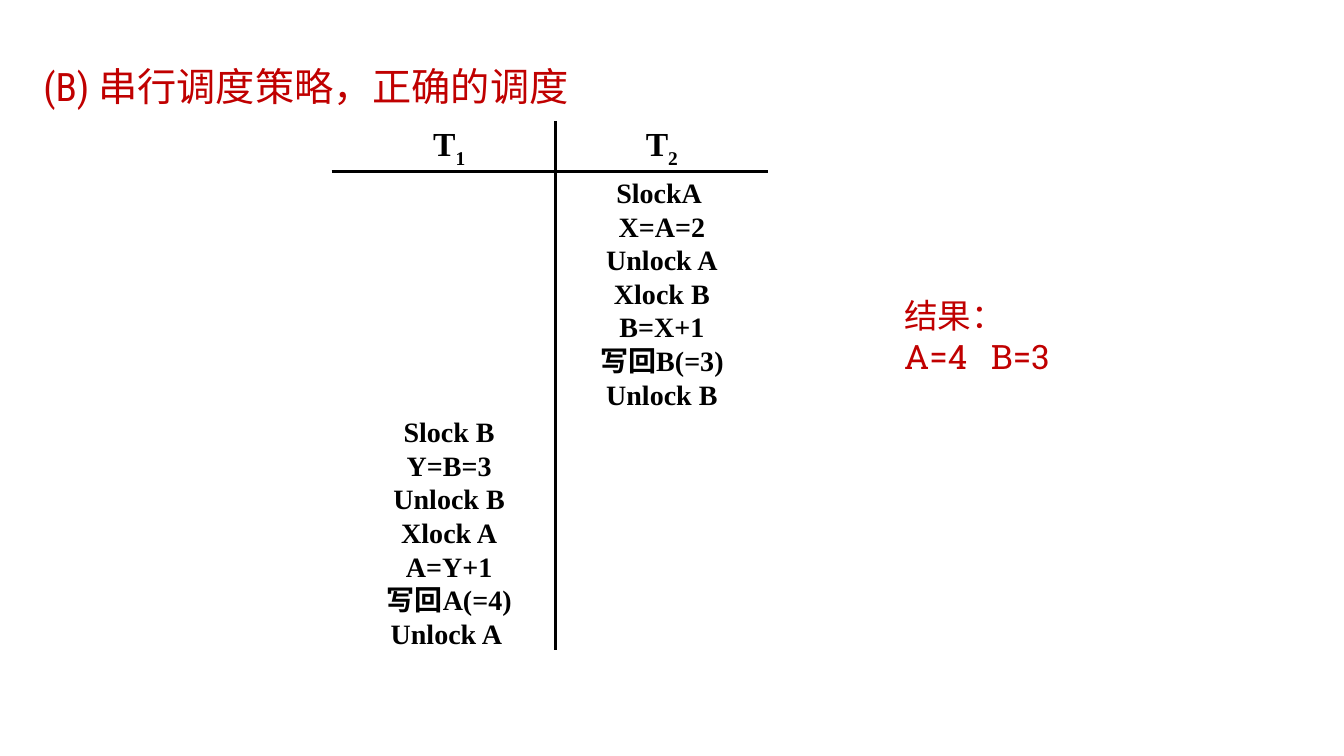
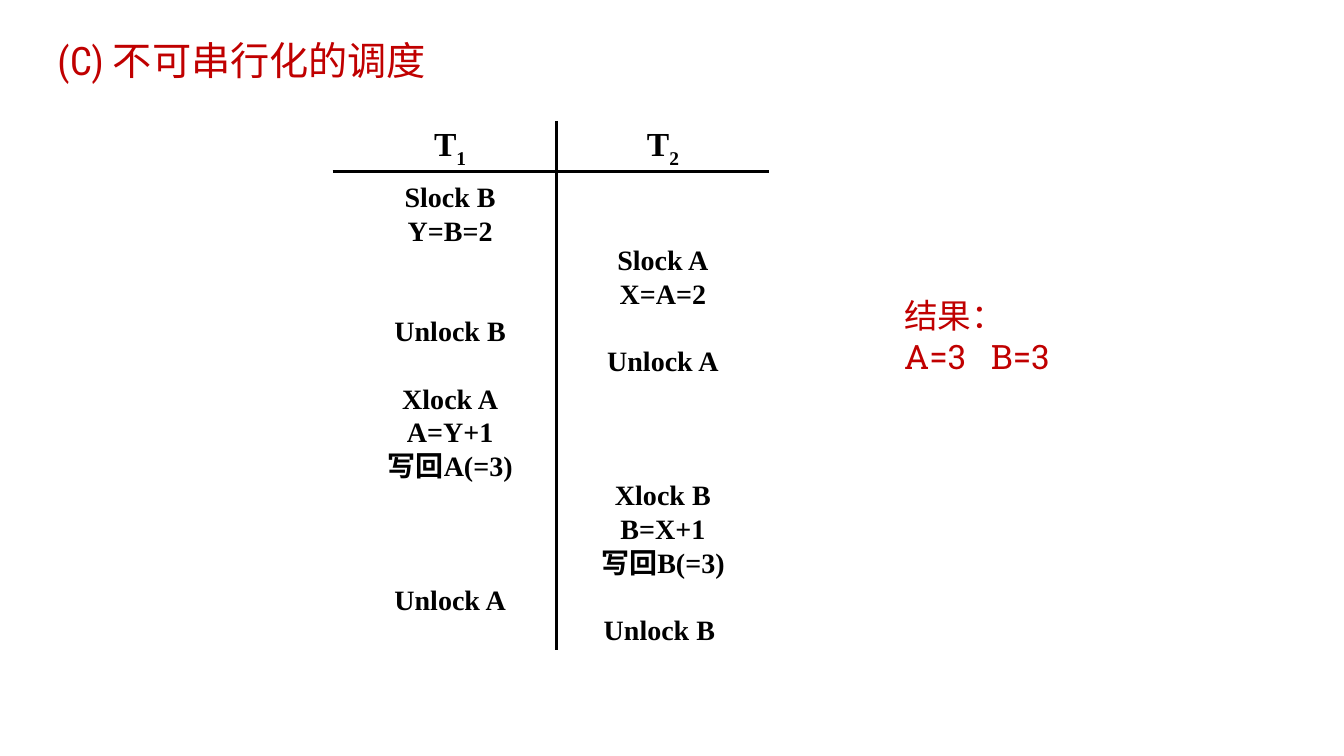
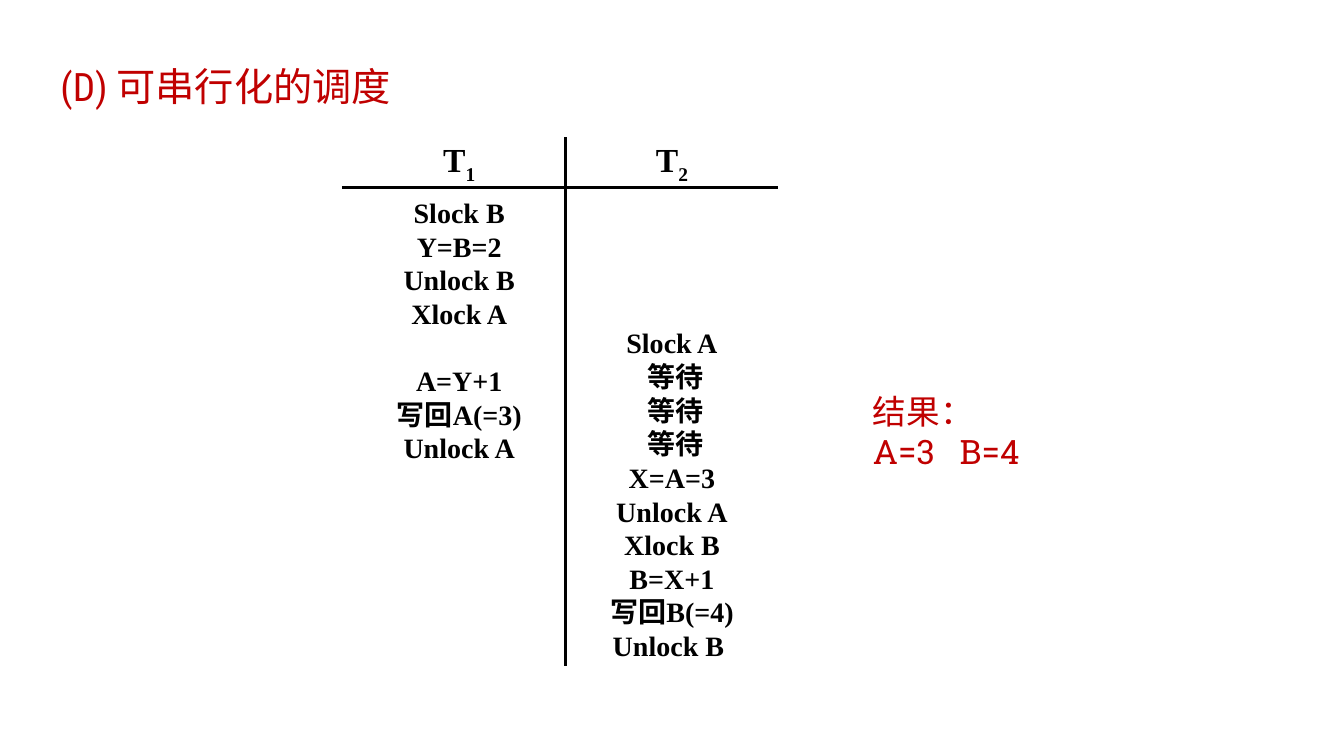
"""Build three slides that compare lock schedules of two transactions."""
from dataclasses import dataclass

from lxml.etree import SubElement
from pptx import Presentation
from pptx.dml.color import RGBColor
from pptx.enum.shapes import MSO_CONNECTOR
from pptx.enum.text import MSO_ANCHOR, PP_ALIGN
from pptx.oxml.ns import qn
from pptx.slide import Slide
from pptx.text.text import TextFrame, _Paragraph, _Run
from pptx.util import Inches, Pt

RED = RGBColor(0xC0, 0x00, 0x00)
BLACK = RGBColor(0x00, 0x00, 0x00)

TITLE_FORMAT = {"name": "Roboto Condensed", "size": Pt(28), "color": RED}
RESULT_FORMAT = {"name": "Roboto Slab", "size": Pt(24), "color": RED}
HEADER_FORMAT = {"name": "Times New Roman", "size": Pt(24), "bold": True, "color": BLACK}
STEP_FORMAT = {**HEADER_FORMAT, "size": Pt(20)}

COLUMN_WIDTH = 2.11
HEADER_HEIGHT = 0.5
GRID_HEIGHT = 5.25
RULE_OVERHANG = 0.11
ROW_HEIGHT = 24 / 72
COLUMN_OFFSETS = (0.08, 0.04)
TAB_POSITION = 0.86


@dataclass(frozen=True)
class Step:
    """One operation and the grid row on which it runs."""

    row: int
    text: str


@dataclass(frozen=True)
class Schedule:
    """Content and placement of one slide."""

    title: str
    title_box: tuple[float, float, float, float]
    grid_left: float
    grid_top: float
    columns: tuple[list[Step], list[Step]]
    result_left: float
    result_top: float
    values: tuple[str, str]


def steps(first_row: int, *texts: str) -> list[Step]:
    """Place texts on consecutive rows."""
    return [Step(first_row + index, text) for index, text in enumerate(texts)]


SCHEDULES = [
    Schedule(
        "(B) 串行调度策略，正确的调度", (0.33, 0, 11, 1.76), 3.4, 1.2,
        (
            steps(7, "Slock B", "Y=B=3", "Unlock B", "Xlock A", "A=Y+1", "写回A(=4)", "Unlock A "),
            steps(0, "SlockA ", "X=A=2", "Unlock A", "Xlock B", "B=X+1", "写回B(=3)", "Unlock B"),
        ),
        8.87, 2.88, ("A=4", "B=3"),
    ),
    Schedule(
        "(C) 不可串行化的调度", (0.47, 0, 12, 1.25), 3.41, 1.2,
        (
            steps(0, "Slock B", "Y=B=2") + steps(4, "Unlock B")
            + steps(6, "Xlock A", "A=Y+1", "写回A(=3)") + steps(12, "Unlock A"),
            steps(2, "Slock A", "X=A=2") + steps(5, "Unlock A")
            + steps(9, "Xlock B", "B=X+1", "写回B(=3)") + steps(13, "Unlock B "),
        ),
        8.87, 2.88, ("A=3", "B=3"),
    ),
    Schedule(
        "(D) 可串行化的调度", (0.5, 0, 11, 1.76), 3.5, 1.36,
        (
            steps(0, "Slock B", "Y=B=2", "Unlock B", "Xlock A")
            + steps(5, "A=Y+1", "写回A(=3)", "Unlock A"),
            steps(4, "Slock A", " 等待", " 等待", " 等待", "X=A=3", "Unlock A",
                  "Xlock B", "B=X+1", "写回B(=4)", "Unlock B "),
        ),
        8.56, 3.83, ("A=3", "B=4"),
    ),
]


def add_span(para: _Paragraph, text: str, values: dict) -> _Run:
    """Append a run formatted from a dict of font values."""
    span = para.add_run()
    span.text = text
    for name, value in values.items():
        if name == "color":
            span.font.color.rgb = value
        else:
            setattr(span.font, name, value)
    return span


def add_box(slide: Slide, left: float, top: float, width: float, height: float) -> TextFrame:
    """Add a wrapping text box and return its frame."""
    box = slide.shapes.add_textbox(Inches(left), Inches(top), Inches(width), Inches(height))
    box.text_frame.word_wrap = True
    return box.text_frame


def add_rule(slide: Slide, left: float, top: float, right: float, bottom: float) -> None:
    """Draw one black grid line."""
    rule = slide.shapes.add_connector(
        MSO_CONNECTOR.STRAIGHT, Inches(left), Inches(top), Inches(right), Inches(bottom)
    )
    rule.line.color.rgb = BLACK
    rule.line.width = Pt(2.25)
    SubElement(rule._element.spPr, qn("a:effectLst"))


def add_title(slide: Slide, schedule: Schedule) -> None:
    """Fill and place the title placeholder."""
    title = slide.shapes.title
    for name, value in zip(("left", "top", "width", "height"), schedule.title_box):
        setattr(title, name, Inches(value))
    title.text_frame.vertical_anchor = MSO_ANCHOR.MIDDLE
    para = title.text_frame.paragraphs[0]
    para.alignment = PP_ALIGN.LEFT
    para.line_spacing = 0.9
    add_span(para, schedule.title, TITLE_FORMAT)


def add_header(slide: Slide, left: float, top: float, number: int) -> None:
    """Write a transaction name with its subscript number."""
    frame = add_box(slide, left, top, COLUMN_WIDTH, HEADER_HEIGHT)
    frame.vertical_anchor = MSO_ANCHOR.MIDDLE
    para = frame.paragraphs[0]
    para.alignment = PP_ALIGN.CENTER
    add_span(para, "T", HEADER_FORMAT)
    subscript = add_span(para, str(number), HEADER_FORMAT)
    subscript.font._element.set("baseline", "-25000")


def add_steps(slide: Slide, left: float, top: float, column: list[Step]) -> None:
    """Write a column of steps, leaving room for the rows between them."""
    frame = add_box(slide, left, top, COLUMN_WIDTH, ROW_HEIGHT * 14)
    frame.vertical_anchor = MSO_ANCHOR.TOP
    frame.margin_top = Inches(column[0].row * ROW_HEIGHT)
    frame.margin_bottom = 0
    previous_row = column[0].row - 1
    for index, step in enumerate(column):
        para = frame.add_paragraph() if index else frame.paragraphs[0]
        para.alignment = PP_ALIGN.CENTER
        para.line_spacing = Inches(ROW_HEIGHT)
        para.space_before = Inches((step.row - previous_row - 1) * ROW_HEIGHT)
        add_span(para, step.text, STEP_FORMAT)
        previous_row = step.row


def add_result(slide: Slide, schedule: Schedule) -> None:
    """Write the final values, the second one on a tab stop."""
    frame = add_box(slide, schedule.result_left, schedule.result_top, 3.56, 0.91)
    add_span(frame.paragraphs[0], "结果：", RESULT_FORMAT)
    para = frame.add_paragraph()
    tabs = SubElement(para._p.get_or_add_pPr(), qn("a:tabLst"))
    SubElement(tabs, qn("a:tab"), pos=str(Inches(TAB_POSITION)), algn="l")
    add_span(para, "\t".join(schedule.values), RESULT_FORMAT)


def add_schedule(slide: Slide, schedule: Schedule) -> None:
    """Draw the title, the two-column grid and the result."""
    add_title(slide, schedule)
    left, top = schedule.grid_left, schedule.grid_top
    middle, right = left + COLUMN_WIDTH, left + 2 * COLUMN_WIDTH
    header_bottom = top + HEADER_HEIGHT
    add_rule(slide, left - RULE_OVERHANG, header_bottom, right, header_bottom)
    add_rule(slide, middle, top, middle, top + GRID_HEIGHT)
    for index, (column, offset) in enumerate(zip(schedule.columns, COLUMN_OFFSETS)):
        column_left = left + index * COLUMN_WIDTH
        add_header(slide, column_left, top, index + 1)
        add_steps(slide, column_left, header_bottom + offset, column)
    add_result(slide, schedule)


def main() -> None:
    """Build and save the deck."""
    deck = Presentation()
    deck.slide_width, deck.slide_height = Inches(13.33), Inches(7.5)
    for schedule in SCHEDULES:
        add_schedule(deck.slides.add_slide(deck.slide_layouts[5]), schedule)
    deck.save("out.pptx")


if __name__ == "__main__":
    main()
